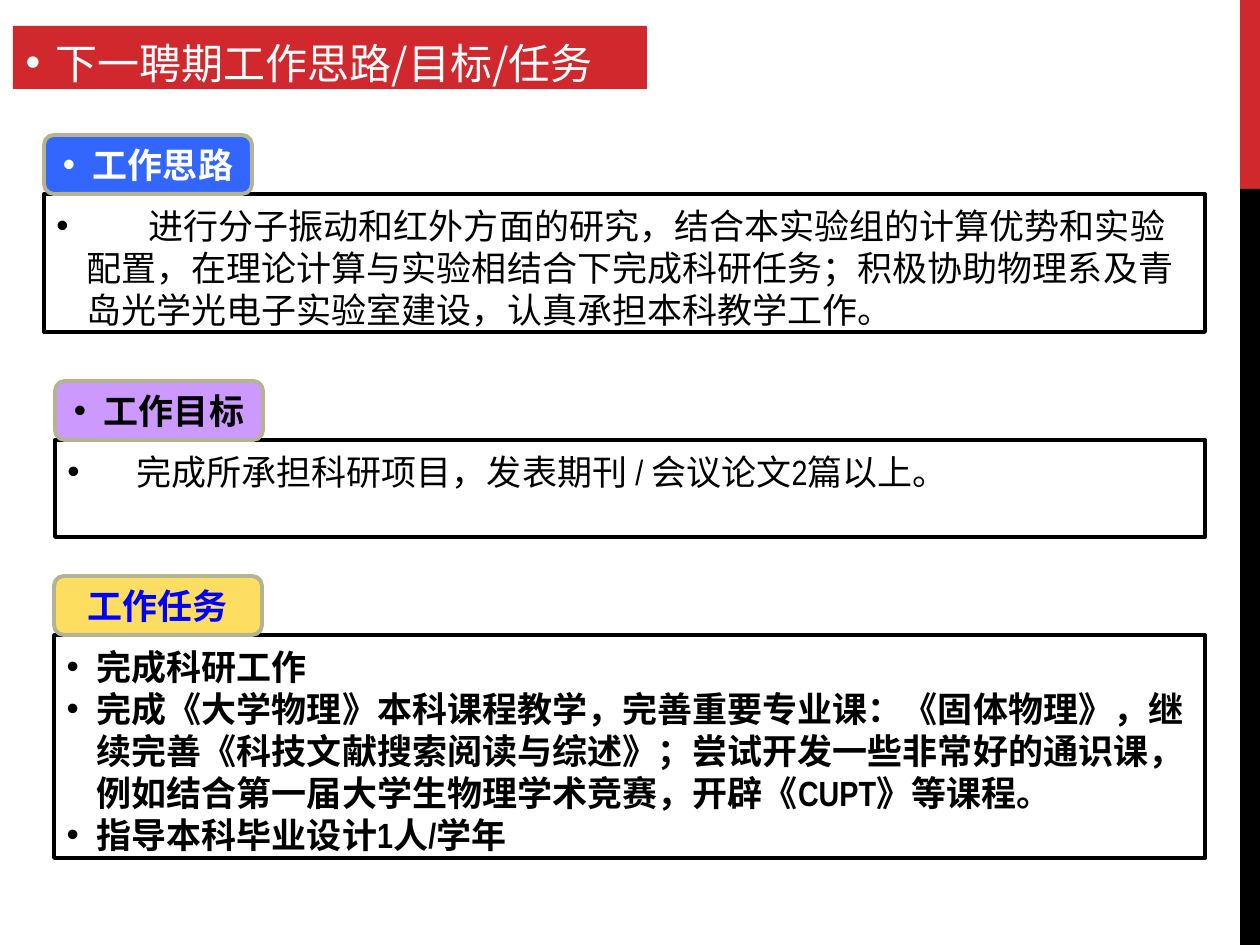
"""Build the slide on ideas, goals and tasks for the next term of employment."""
from lxml.etree import SubElement
from pptx import Presentation
from pptx.dml.color import RGBColor
from pptx.enum.shapes import MSO_SHAPE as SHAPE
from pptx.enum.text import MSO_ANCHOR as ANCHOR, MSO_AUTO_SIZE as AUTO, PP_ALIGN as ALIGN
from pptx.oxml.ns import qn
from pptx.util import Emu, Pt

COLORS = {"red": "D1282E", "black": "000000", "white": "FFFFFF", "blue": "3366FF",
          "violet": "CC99FF", "yellow": "FEDE61", "ink_blue": "0000FF", "rim": "B4B392"}
CJK = "Noto Sans CJK SC"
HANG = 30
LABEL_SIZE = (208, 59)

TITLE = "下一聘期工作思路/目标/任务"
BARS = [("red", (1240, 0, 20, 189)), ("black", (1240, 189, 20, 756))]
SECTIONS = [
    {"label": "工作思路", "fill": "blue", "ink": "white", "label_hang": HANG,
     "box": (44, 194, 1161, 138), "hang": HANG, "lead_in": 31, "bold": False,
     "items": ["进行分子振动和红外方面的研究，结合本实验组的计算优势和实验配置，"
               "在理论计算与实验相结合下完成科研任务；积极协助物理系及青岛光学光电子实验室建设，"
               "认真承担本科教学工作。"]},
    {"label": "工作目标", "fill": "violet", "ink": "black", "label_hang": HANG,
     "box": (55, 440, 1150, 97), "hang": 69, "lead_in": 0, "bold": False,
     "items": ["完成所承担科研项目，发表期刊 / 会议论文2篇以上。"]},
    {"label": "工作任务", "fill": "yellow", "ink": "ink_blue", "label_hang": 0,
     "box": (54, 635, 1151, 223), "hang": HANG, "lead_in": 0, "bold": True,
     "items": ["完成科研工作",
               "完成《大学物理》本科课程教学，完善重要专业课：《固体物理》，"
               "继续完善《科技文献搜索阅读与综述》；尝试开发一些非常好的通识课，"
               "例如结合第一届大学生物理学术竞赛，开辟《CUPT》等课程。",
               "指导本科毕业设计1人/学年"]},
]


def px(value):
    return Emu(round(value * 914400 / 126))


def rgb(name):
    return RGBColor.from_string(COLORS[name])


def place(shape, box):
    shape.left, shape.top, shape.width, shape.height = map(px, box)


def paint(shape, fill=None, line=None):
    if fill:
        shape.fill.solid()
        shape.fill.fore_color.rgb = rgb(fill)
    else:
        shape.fill.background()
    if line:
        shape.line.color.rgb = rgb(line)
        shape.line.width = Pt(2.25)
    else:
        shape.line.fill.background()


def add_shape(slide, kind, box):
    shape = slide.shapes.add_shape(kind, *map(px, box))
    shape.shadow.inherit = False
    return shape


def set_frame(shape, top, bottom, anchor=ANCHOR.TOP, wrap=True):
    frame = shape.text_frame
    frame.auto_size = AUTO.NONE
    frame.word_wrap = wrap
    frame.vertical_anchor = anchor
    frame.margin_left = frame.margin_right = px(12.6)
    frame.margin_top, frame.margin_bottom = px(top), px(bottom)
    return frame


def set_bullet(paragraph, hang, color):
    props = paragraph._p.get_or_add_pPr()
    props.set("marL", str(px(hang)))
    props.set("indent", str(px(-hang)))
    if hang:
        SubElement(SubElement(props, qn("a:buClr")), qn("a:srgbClr"), val=COLORS[color])
        SubElement(props, qn("a:buFont"), typeface="Arial")
        SubElement(props, qn("a:buChar"), char="•")
    else:
        SubElement(props, qn("a:buNone"))


def add_run(paragraph, text, size, face, color, bold=False):
    run = paragraph.add_run()
    run.text = text
    font = run.font
    font.size, font.name, font.bold = Pt(size), face, bold
    font.color.rgb = rgb(color)
    SubElement(font._element, qn("a:ea"), typeface=CJK)
    return run


def write_items(frame, items, hang, size, face, color, bold=False, lead_in=0,
                align=ALIGN.LEFT, spacing=None):
    for index, item in enumerate(items):
        paragraph = frame.add_paragraph() if index else frame.paragraphs[0]
        set_bullet(paragraph, hang, color)
        paragraph.alignment = align
        paragraph.space_before = Pt(0)
        if spacing:
            paragraph.line_spacing = Pt(spacing)
        if lead_in:
            gap = add_run(paragraph, " ", size, face, color)
            gap.font._element.set("spc", str(lead_in * 100))
        add_run(paragraph, item, size, face, color, bold)


def add_section(slide, section, panel):
    place(panel, section["box"])
    paint(panel, line="black")
    write_items(set_frame(panel, 10, 2), section["items"], section["hang"], 20, "Arial Narrow",
                "black", section["bold"], section["lead_in"], spacing=24)
    left, top = section["box"][:2]
    width, height = LABEL_SIZE
    label = add_shape(slide, SHAPE.ROUNDED_RECTANGLE, (left, top - height, width, height))
    paint(label, section["fill"], "rim")
    write_items(set_frame(label, 0, 0, ANCHOR.MIDDLE), [section["label"]], section["label_hang"],
                20, "Arial", section["ink"], True, align=ALIGN.CENTER)


def main():
    deck = Presentation()
    deck.slide_width, deck.slide_height = px(1260), px(945)
    slide = deck.slides.add_slide(deck.slide_layouts[1])
    for color, box in BARS:
        paint(add_shape(slide, SHAPE.RECTANGLE, box), color)

    title = slide.shapes.title
    place(title, (13, 26, 634, 63))
    paint(title, "red")
    write_items(set_frame(title, 11, 1, wrap=False), [TITLE], HANG, 24, CJK, "white", spacing=28.8)

    for section in SECTIONS:
        is_list = len(section["items"]) > 1
        panel = (slide.placeholders[1] if is_list
                 else add_shape(slide, SHAPE.RECTANGLE, section["box"]))
        add_section(slide, section, panel)
    deck.save("out.pptx")


if __name__ == "__main__":
    main()
